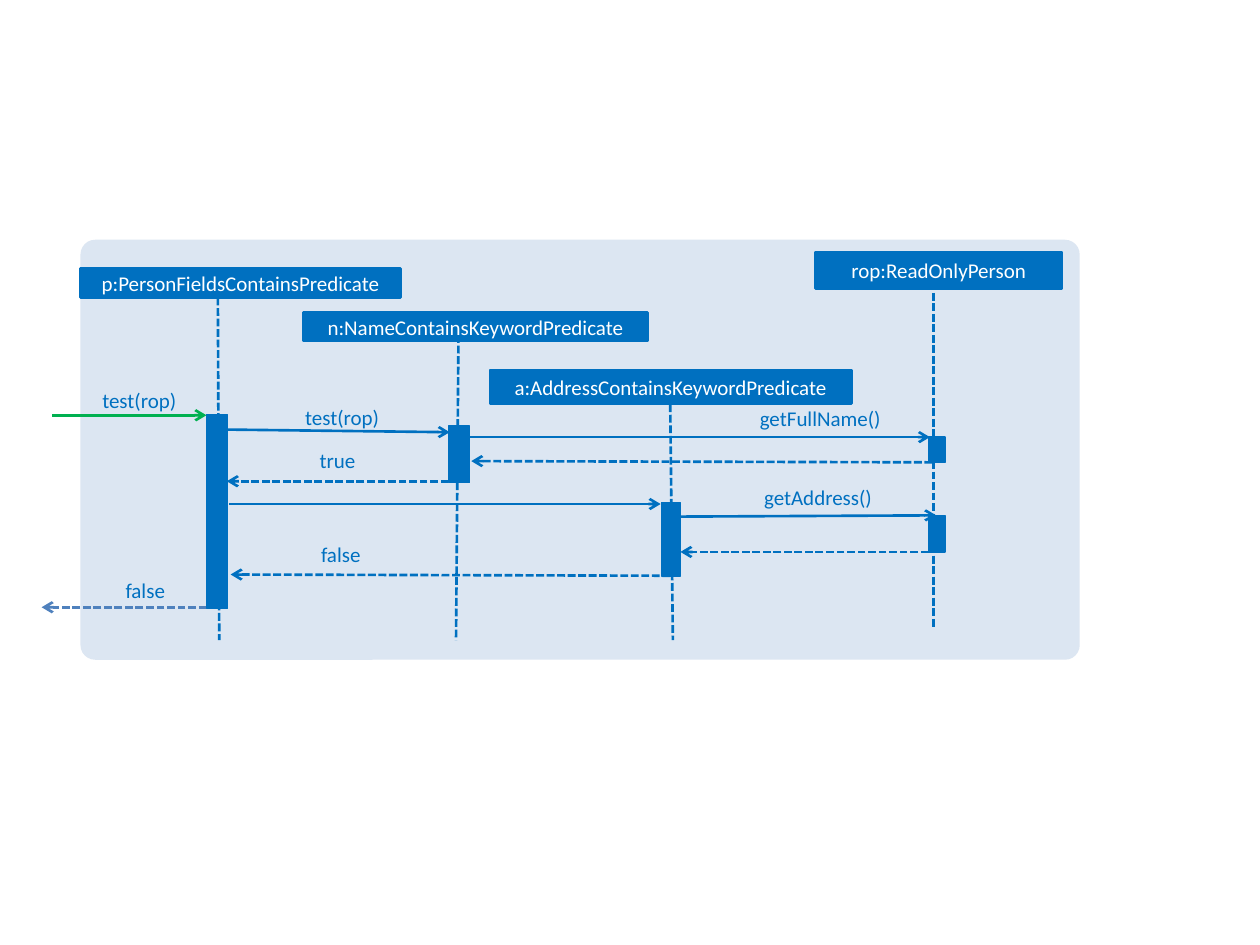
from lxml import etree
from pptx import Presentation
from pptx.dml.color import RGBColor
from pptx.enum import dml, shapes, text
from pptx.oxml import ns
from pptx.util import Pt

BLUE = "0070C0"
GREEN = "00B050"
STEEL = "4F81BD"
WHITE = "FFFFFF"
PALE = "DCE6F2"

PARTICIPANTS = [
    ("p:PersonFieldsContainsPredicate", (46, 153.5, 183, 16.5), (124.5, 170, 125.3, 365.8)),
    ("n:NameContainsKeywordPredicate", (173.5, 178.5, 196.5, 16.5), (262, 191.5, 260.6, 365.8)),
    ("rop:ReadOnlyPerson", (466, 144, 141, 21), (533.5, 161.3, 533.5, 358.5)),
    ("a:AddressContainsKeywordPredicate", (280, 211.5, 206.5, 19), (383, 231, 384.5, 365.8)),
]
ACTIVATIONS = [
    (118, 237, 12.2, 110.9),
    (256.3, 243.4, 12.2, 32.4),
    (530.6, 249.8, 9.4, 14.4),
    (530.6, 294.5, 9.4, 20.9),
    (378, 287.3, 10.8, 41.8),
]
CALLS = [
    (30, 237.3, 118, 237.3, GREEN),
    (130.3, 245.5, 257, 247, BLUE),
    (268.6, 249.8, 531.4, 249.8, BLUE),
    (131, 288, 377.5, 288, BLUE),
    (388, 295.2, 535, 294.5, BLUE),
]
RETURNS = [
    (532.8, 264.2, 269.3, 263.5, BLUE),
    (256.3, 275, 129.6, 275, BLUE),
    (530.6, 315.4, 388.8, 315.4, BLUE),
    (383, 329, 131.8, 328.3, BLUE),
    (118, 347, 23.8, 347, STEEL),
]
LABELS = [
    ("test(rop)", -11.5, 221.3, 112.3),
    ("test(rop)", 104.4, 231, 112.3),
    ("getFullName()", 391, 232, 112.3),
    ("getAddress()", 386, 277, 112.3),
    ("true", 175.7, 255.5, 27.4),
    ("false", 178.6, 309.5, 27.4),
    ("false", 34.5, 330.3, 59.8),
]


def color(value):
    return RGBColor.from_string(value)


def write(frame, content, *, fill, align, anchor, wrap=True):
    frame.margin_left = frame.margin_right = frame.margin_top = frame.margin_bottom = 0
    frame.word_wrap = wrap
    frame.vertical_anchor = anchor
    para = frame.paragraphs[0]
    para.alignment = align
    span = para.add_run()
    span.text = content
    span.font.name = "Calibri"
    span.font.size = Pt(12)
    span.font.color.rgb = color(fill)


def add_box(page, bounds, *, fill=BLUE, border=None, kind=shapes.MSO_SHAPE.RECTANGLE):
    box = page.shapes.add_shape(kind, *map(Pt, bounds))
    box.shadow.inherit = False
    box.fill.solid()
    box.fill.fore_color.rgb = color(fill)
    if border:
        box.line.color.rgb = color(fill)
        box.line.width = Pt(border)
    else:
        box.line.fill.background()
    return box


def add_line(page, ends, *, stroke=BLUE, dashed=False, arrow=False):
    line = page.shapes.add_connector(shapes.MSO_CONNECTOR.STRAIGHT, *map(Pt, ends))
    line.line.color.rgb = color(stroke)
    line.line.width = Pt(1.5)
    if dashed:
        line.line.dash_style = dml.MSO_LINE.SQUARE_DOT
    properties = line._element.spPr
    if arrow:
        outline = properties.find(ns.qn("a:ln"))
        etree.SubElement(outline, ns.qn("a:tailEnd"), type="arrow")
    etree.SubElement(properties, ns.qn("a:effectLst"))


def add_participant(page, name, bounds, lifeline):
    header = add_box(page, bounds, border=1.5)
    write(header.text_frame, name, fill=WHITE, align=text.PP_ALIGN.CENTER,
          anchor=text.MSO_ANCHOR.MIDDLE, wrap=False)
    add_line(page, lifeline, dashed=True)


def add_label(page, content, left, top, width):
    box = page.shapes.add_textbox(Pt(left), Pt(top), Pt(width), Pt(14.5))
    write(box.text_frame, content, fill=BLUE, align=text.PP_ALIGN.RIGHT,
          anchor=text.MSO_ANCHOR.TOP)
    box.text_frame.auto_size = text.MSO_AUTO_SIZE.SHAPE_TO_FIT_TEXT


def main():
    deck = Presentation()
    deck.slide_width, deck.slide_height = Pt(720), Pt(540)
    page = deck.slides.add_slide(deck.slide_layouts[6])
    panel = add_box(page, (46, 137, 571, 240), fill=PALE,
                    kind=shapes.MSO_SHAPE.ROUNDED_RECTANGLE)
    panel.adjustments[0] = 0.035
    for participant in PARTICIPANTS:
        add_participant(page, *participant)
    for bounds in ACTIVATIONS:
        add_box(page, bounds, border=0.75)
    for messages, dashed in ((CALLS, False), (RETURNS, True)):
        for *ends, stroke in messages:
            add_line(page, ends, stroke=stroke, dashed=dashed, arrow=True)
    for label in LABELS:
        add_label(page, *label)
    deck.save("out.pptx")


main()
